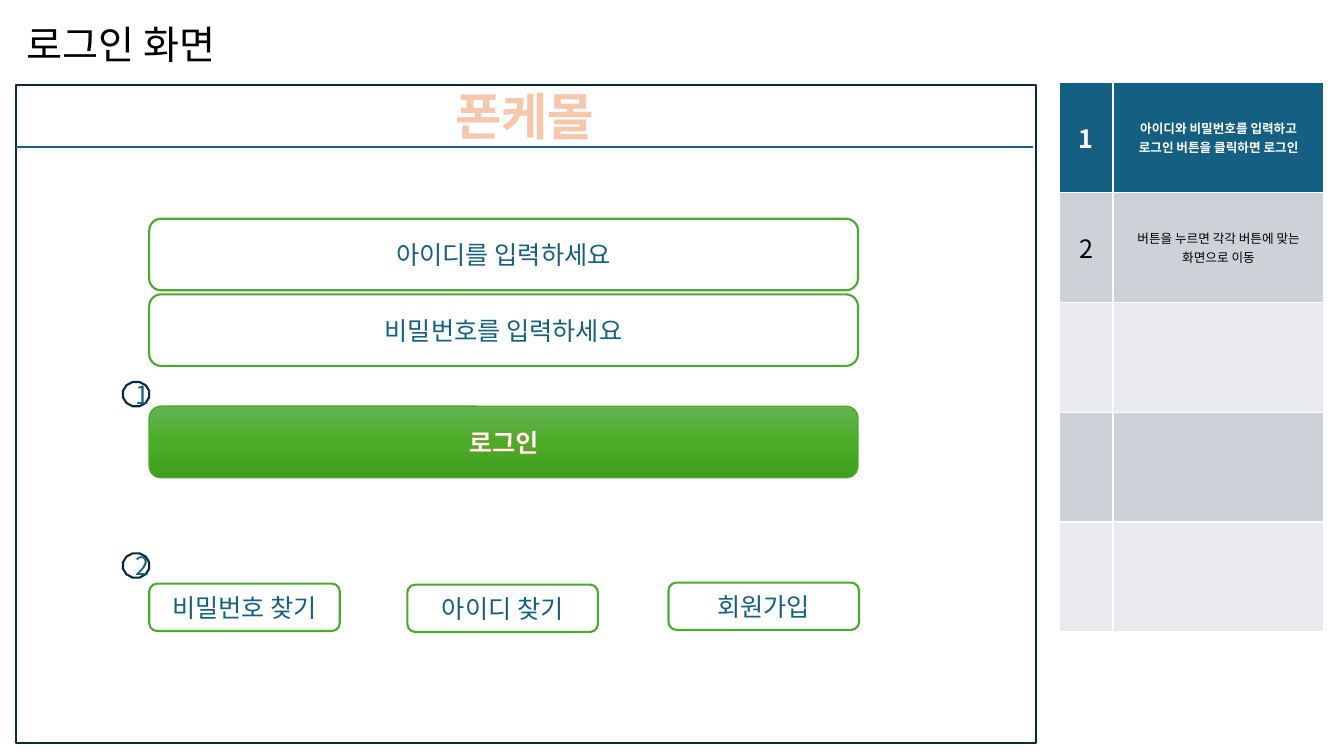
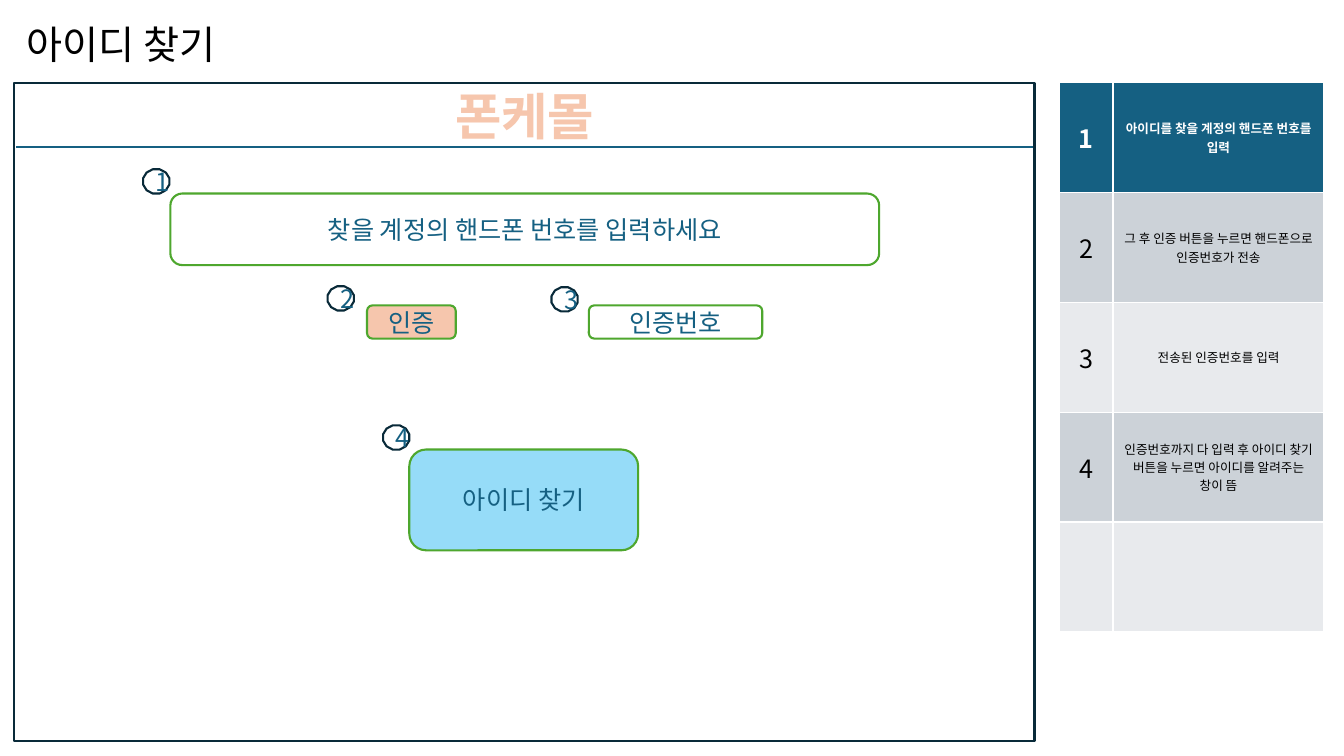
from copy import deepcopy

from lxml.etree import SubElement
from pptx import Presentation
from pptx.dml.color import RGBColor
from pptx.enum.shapes import MSO_CONNECTOR, MSO_SHAPE
from pptx.enum.text import MSO_ANCHOR, MSO_AUTO_SIZE, PP_ALIGN
from pptx.oxml.ns import qn
from pptx.util import Emu, Pt

PX = 9144  # 100 px to the inch
FONT = "Noto Sans CJK KR"
WHITE, BLACK = "FFFFFF", "000000"
NAVY, TEAL, GREEN = "092A39", "156082", "4EA72E"
PEACH, ORANGE, SKY = "F6C6AD", "E97132", "96DCF8"
BAND_DARK, BAND_LIGHT = "CCD2D8", "E8EAED"
LOGIN_GRADIENT = [(0, "66B354"), (0.5, "4BAD28"), (1, "409F1E")]

SHOP_NAME = "폰케몰"
TITLE_BOX = (16, 15, 465, 57)
SHOP_BOX = (394, 79, 253, 71)
FRAME_SIZE = (1012, 653)
HEADER_LINE = (16, 146, 1025, 146)
TABLE_POSITION = (1051, 82)
COLUMN_WIDTHS = (53, 209)
ROW_COUNT, ROW_HEIGHT = 5, 109
MARKER_SIZE = (26, 24)

# Boxes: text, (left, top, width, height), fill colour or gradient
# Markers: (left, top), numbered in order
SCREENS = [
    {
        "title": "로그인 화면",
        "frame": (16, 84),
        "notes": [
            "아이디와 비밀번호를 입력하고 로그인 버튼을 클릭하면 로그인",
            "버튼을 누르면 각각 버튼에 맞는 화면으로 이동",
        ],
        "boxes": [
            ("아이디를 입력하세요", (148, 217, 703, 71), WHITE),
            ("비밀번호를 입력하세요", (148, 292, 703, 71), WHITE),
            ("로그인", (148, 403, 703, 71), LOGIN_GRADIENT),
            ("비밀번호 찾기", (148, 579, 189, 47), WHITE),
            ("아이디 찾기", (404, 580, 189, 47), WHITE),
            ("회원가입", (663, 578, 189, 47), WHITE),
        ],
        "markers": [(122, 379), (122, 549)],
    },
    {
        "title": "아이디 찾기",
        "frame": (14, 82),
        "notes": [
            "아이디를 찾을 계정의 핸드폰 번호를 입력",
            "그 후 인증 버튼을 누르면 핸드폰으로 인증번호가 전송",
            "전송된 인증번호를 입력",
            "인증번호까지 다 입력 후 아이디 찾기 버튼을 누르면 아이디를 알려주는 창이 뜸",
        ],
        "boxes": [
            ("찾을 계정의 핸드폰 번호를 입력하세요", (169, 192, 703, 71), WHITE),
            ("인증번호", (584, 303, 172, 33), WHITE),
            ("인증", (364, 303, 88, 33), PEACH),
            ("아이디 찾기", (406, 446, 227, 100), SKY),
        ],
        "markers": [(142, 168), (325, 284), (547, 285), (380, 422)],
    },
]


def px(*lengths):
    return [Emu(length * PX) for length in lengths]


def rgb(value):
    return RGBColor.from_string(value)


def write(text_frame, text, size, color, bold=False, align=PP_ALIGN.CENTER, outline=None):
    """Set one paragraph; outline is (colour, width in points)."""
    text_frame.text = text
    paragraph = text_frame.paragraphs[0]
    paragraph.alignment = align
    for run in paragraph.runs:
        font = run.font
        font.size, font.bold, font.name = Pt(size), bold, FONT
        font.color.rgb = rgb(color)
        properties = run._r.get_or_add_rPr()
        SubElement(properties, qn("a:ea"), typeface=FONT)
        if outline:
            line = SubElement(properties, qn("a:ln"), w=str(Pt(outline[1])))
            fill = SubElement(line, qn("a:solidFill"))
            SubElement(fill, qn("a:srgbClr"), val=outline[0])
            properties.insert(0, line)


def fill_gradient(shape, stops):
    """Fill from top to bottom with any number of (position, colour) stops."""
    shape.fill.gradient()
    shape.fill.gradient_angle = 270
    stop_list = shape._element.spPr.find(".//" + qn("a:gsLst"))
    while len(stop_list) < len(stops):
        stop_list.append(deepcopy(stop_list[0]))
    for stop, (position, color) in zip(shape.fill.gradient_stops, stops):
        stop.position = position
        stop.color.rgb = rgb(color)


def add_outlined(slide, kind, box, line_color, fill=WHITE, line_width=1.5):
    shape = slide.shapes.add_shape(kind, *px(*box))
    shape.shadow.inherit = False
    if isinstance(fill, str):
        shape.fill.solid()
        shape.fill.fore_color.rgb = rgb(fill)
    else:
        fill_gradient(shape, fill)
    shape.line.color.rgb = rgb(line_color)
    shape.line.width = Pt(line_width)
    return shape


def add_title(slide, text):
    title = slide.shapes.title
    title.left, title.top, title.width, title.height = px(*TITLE_BOX)
    title.text_frame.auto_size = MSO_AUTO_SIZE.NONE
    title.text_frame.vertical_anchor = MSO_ANCHOR.TOP
    write(title.text_frame, text, 28, BLACK, align=PP_ALIGN.LEFT)


def add_screen_frame(slide, position):
    add_outlined(slide, MSO_SHAPE.RECTANGLE, position + FRAME_SIZE, NAVY)
    shop = slide.shapes.add_textbox(*px(*SHOP_BOX))
    shop.text_frame.word_wrap = True
    write(shop.text_frame, SHOP_NAME, 36, PEACH, bold=True, outline=(ORANGE, 1.75))
    line = slide.shapes.add_connector(MSO_CONNECTOR.STRAIGHT, *px(*HEADER_LINE))
    line.line.color.rgb = rgb(TEAL)
    line.line.width = Pt(1.5)
    SubElement(line._element.spPr, qn("a:effectLst"))


def add_notes_table(slide, notes):
    size = (sum(COLUMN_WIDTHS), ROW_COUNT * ROW_HEIGHT)
    table = slide.shapes.add_table(
        ROW_COUNT, len(COLUMN_WIDTHS), *px(*TABLE_POSITION, *size)
    ).table
    for column, width in zip(table.columns, px(*COLUMN_WIDTHS)):
        column.width = width
    for index, row in enumerate(table.rows):
        header = index == 0
        band = TEAL if header else (BAND_DARK if index % 2 else BAND_LIGHT)
        texts = (str(index + 1), notes[index]) if index < len(notes) else ("", "")
        for cell, text, font_size in zip(row.cells, texts, (18, 9)):
            cell.fill.solid()
            cell.fill.fore_color.rgb = rgb(band)
            cell.vertical_anchor = MSO_ANCHOR.MIDDLE
            if text:
                write(cell.text_frame, text, font_size, WHITE if header else BLACK, bold=header)


def add_box(slide, text, box, fill):
    is_gradient = not isinstance(fill, str)
    shape = add_outlined(slide, MSO_SHAPE.ROUNDED_RECTANGLE, box, GREEN, fill,
                         1 if is_gradient else 1.5)
    if is_gradient:
        write(shape.text_frame, text, 18, WHITE, bold=True, outline=(ORANGE, 0.52))
    else:
        write(shape.text_frame, text, 18, TEAL)


def add_marker(slide, number, position):
    marker = add_outlined(slide, MSO_SHAPE.DODECAGON, position + MARKER_SIZE, NAVY)
    write(marker.text_frame, str(number), 18, TEAL)


def main():
    presentation = Presentation()
    presentation.slide_width, presentation.slide_height = px(1333, 750)
    title_only = presentation.slide_layouts[5]
    for screen in SCREENS:
        slide = presentation.slides.add_slide(title_only)
        add_title(slide, screen["title"])
        add_screen_frame(slide, screen["frame"])
        add_notes_table(slide, screen["notes"])
        for text, box, fill in screen["boxes"]:
            add_box(slide, text, box, fill)
        for number, position in enumerate(screen["markers"], start=1):
            add_marker(slide, number, position)
    presentation.save("out.pptx")


if __name__ == "__main__":
    main()
